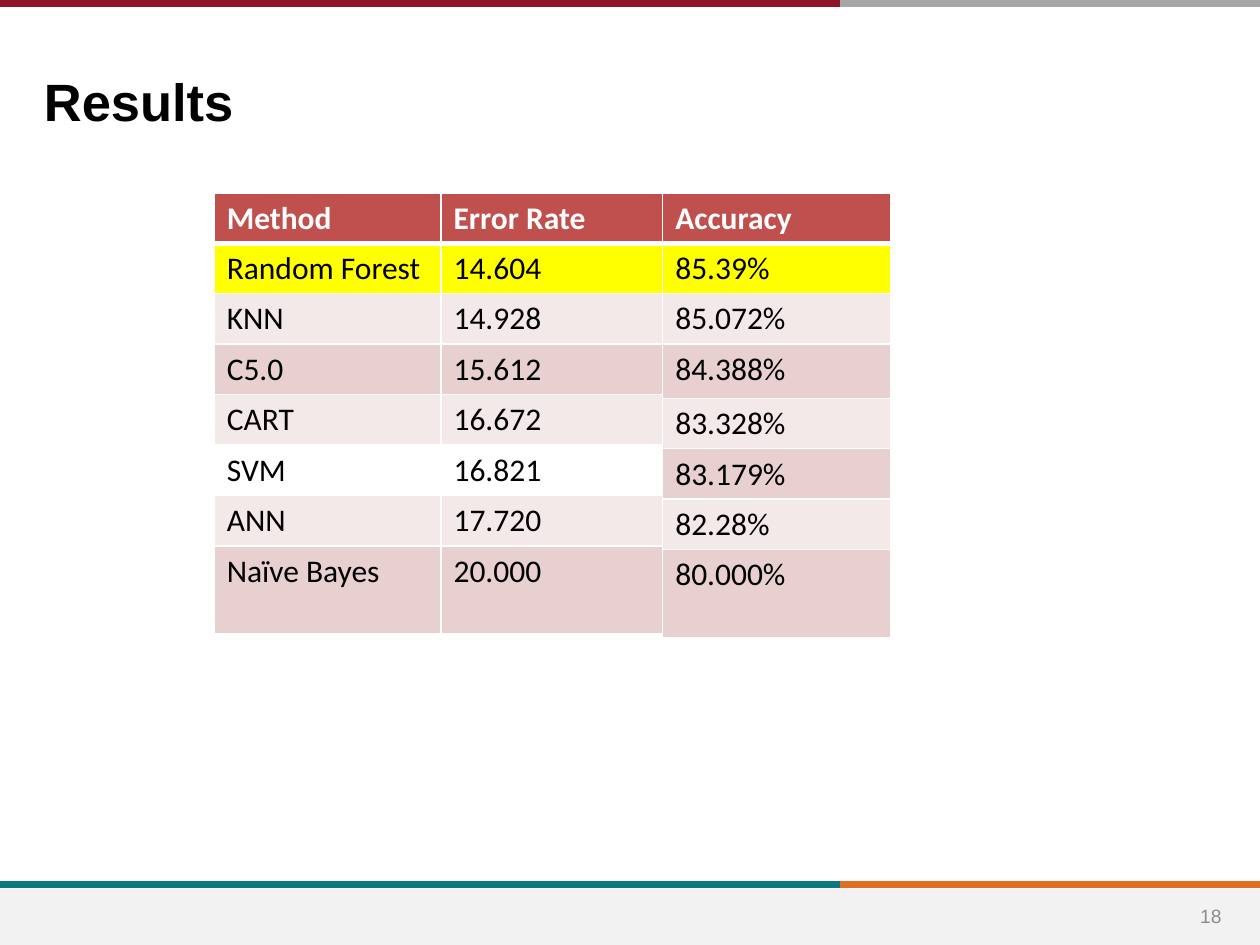
from lxml import etree
from pptx import Presentation
from pptx.dml.color import RGBColor
from pptx.enum import shapes, text
from pptx.oxml import ns
from pptx.util import Inches, Pt

HUES = {
    "red": "90152A", "gray": "A6A6A6", "teal": "0F787D", "orange": "DF7023",
    "foot": "F2F2F2", "num": "8C8C8C", "black": "000000", "white": "FFFFFF",
    "head": "C0504D", "best": "FFFF00", "light": "F4E9E9", "dark": "E8D0D0",
}
SPLIT = 6.67  # where each rule changes colour
ROW = 0.4
LAST = 0.7

METHODS = [
    ("Method", "Error Rate"),
    ("Random Forest", "14.604"),
    ("KNN", "14.928"),
    ("C5.0", "15.612"),
    ("CART", "16.672"),
    ("SVM", "16.821"),
    ("ANN", "17.720"),
    ("Naïve Bayes", "20.000"),
]
SCORES = [("Accuracy",), ("85.39%",), ("85.072%",), ("84.388%",),
          ("83.328%",), ("83.179%",), ("82.28%",), ("80.000%",)]
BANDS = ["head", "best"] + ["light", "dark"] * 3


def hue(name):
    return RGBColor.from_string(HUES[name])


def add_run(para, words, font, size, color, bold=False):
    run = para.add_run()
    run.text = words
    run.font.name = font
    run.font.size = Pt(size)
    run.font.bold = bold
    run.font.color.rgb = hue(color)


def add_rule(slide, left, right, y, color):
    line = slide.shapes.add_connector(
        shapes.MSO_CONNECTOR.STRAIGHT,
        Inches(left), Inches(y), Inches(right), Inches(y))
    line.line.color.rgb = hue(color)
    line.line.width = Pt(4)
    etree.SubElement(line._element.spPr, ns.qn("a:effectLst"))


def add_band(slide, left, top, width, height, color):
    band = slide.shapes.add_shape(
        shapes.MSO_SHAPE.RECTANGLE,
        Inches(left), Inches(top), Inches(width), Inches(height))
    band.shadow.inherit = False
    band.fill.solid()
    band.fill.fore_color.rgb = hue(color)
    band.line.fill.background()


def add_label(slide, box, words, size, color, bold=False):
    frame = slide.shapes.add_textbox(*map(Inches, box)).text_frame
    frame.word_wrap = True
    add_run(frame.paragraphs[0], words, "Arial", size, color, bold)
    return frame


def set_edges(cell, row):
    """Draw white borders, thick between the header and the body."""
    props = cell._tc.get_or_add_tcPr()
    thick = {(0, "B"), (1, "T")}
    for side in "LRTB":
        width = Pt(3 if (row, side) in thick else 1)
        edge = etree.SubElement(props, ns.qn("a:ln" + side), w=str(width))
        fill = etree.SubElement(edge, ns.qn("a:solidFill"))
        etree.SubElement(fill, ns.qn("a:srgbClr"), val=HUES["white"])


def add_grid(slide, left, top, widths, heights, rows, bands):
    grid = slide.shapes.add_table(
        len(rows), len(widths), Inches(left), Inches(top),
        Inches(sum(widths)), Inches(sum(heights))).table
    for col, width in zip(grid.columns, widths):
        col.width = Inches(width)
    for i, (row, height, band) in enumerate(zip(rows, heights, bands)):
        grid.rows[i].height = Inches(height)
        for j, words in enumerate(row):
            cell = grid.cell(i, j)
            set_edges(cell, i)
            if band:
                cell.fill.solid()
                cell.fill.fore_color.rgb = hue(band)
            else:
                cell.fill.background()
            color = "black" if i else "white"
            add_run(cell.text_frame.paragraphs[0], words, "Calibri", 18,
                    color, bold=i == 0)


def main():
    deck = Presentation()
    deck.slide_width, deck.slide_height = Inches(10), Inches(7.5)
    slide = deck.slides.add_slide(deck.slide_layouts[6])

    # Footer and top rules
    add_rule(slide, SPLIT, 10, 7.02, "orange")
    add_rule(slide, 0, SPLIT, 7.02, "teal")
    add_band(slide, 0, 7.05, 10, 0.45, "foot")
    add_rule(slide, SPLIT, 10, 0.03, "gray")
    add_rule(slide, 0, SPLIT, 0.03, "red")

    # Slide number and title
    number = add_label(slide, (9.35, 7.07, 0.52, 0.4), "18", 11, "num")
    number.vertical_anchor = text.MSO_ANCHOR.MIDDLE
    number.paragraphs[0].alignment = text.PP_ALIGN.CENTER
    title = add_label(slide, (0.25, 0.46, 7.99, 0.59), "Results", 30,
                      "black", bold=True)
    title.margin_top = Inches(0.09)

    # Error rates; the SVM row has no fill
    plain = [None if row[0] == "SVM" else band
             for row, band in zip(METHODS, BANDS)]
    add_grid(slide, 1.7, 1.53, [1.8, 2.69], [ROW] * 7 + [LAST],
             METHODS, plain)

    # Accuracy, laid over the right part of the first table
    add_grid(slide, 5.26, 1.53, [1.81],
             [ROW] * 3 + [0.43] + [ROW] * 3 + [LAST], SCORES, BANDS)

    deck.save("out.pptx")


if __name__ == "__main__":
    main()
